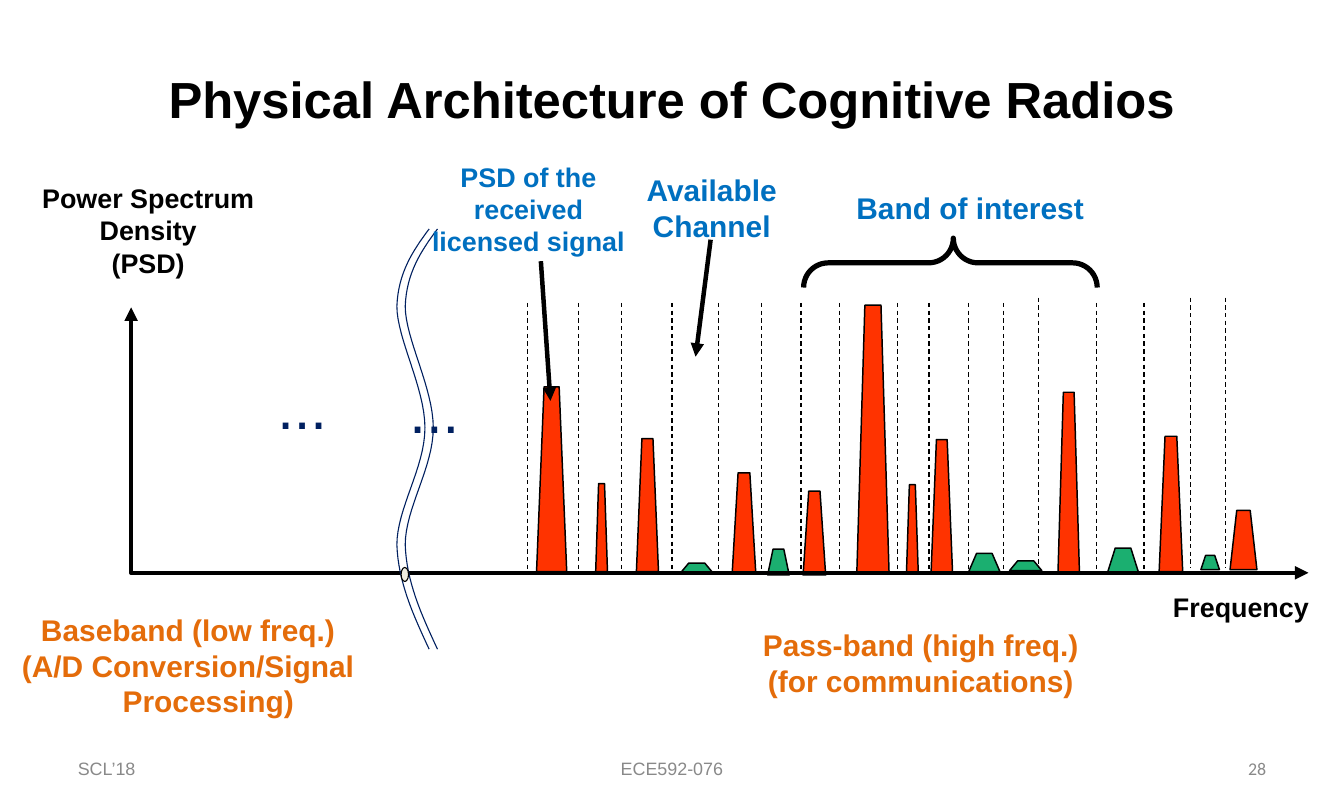
"""Build the slide on the physical architecture of cognitive radios."""
from lxml import etree
from pptx import Presentation, util as u
from pptx.dml.color import RGBColor
from pptx.enum import dml, shapes, text
from pptx.oxml import ns

BLACK = RGBColor(0x00, 0x00, 0x00)
GREY = RGBColor(0x89, 0x89, 0x89)
BLUE = RGBColor(0x00, 0x70, 0xC0)
NAVY = RGBColor(0x00, 0x20, 0x60)
ORANGE = RGBColor(0xE4, 0x6C, 0x0A)
RED = RGBColor(0xFF, 0x33, 0x00)
GREEN = RGBColor(0x1B, 0xAF, 0x70)
IVORY = RGBColor(0xEE, 0xEC, 0xE1)

LEFT, CENTER, RIGHT = text.PP_ALIGN.LEFT, text.PP_ALIGN.CENTER, text.PP_ALIGN.RIGHT
TOP, MIDDLE = text.MSO_ANCHOR.TOP, text.MSO_ANCHOR.MIDDLE

# Left, width, top, bottom of each signal
LICENSED = [
    (398.9, 7.9, 324, 383), (359.3, 20.2, 259.2, 383), (426.2, 14.8, 293.8, 383),
    (490.3, 15.8, 316.8, 383.8), (537.8, 15.1, 329, 385.2), (607, 7.9, 324.7, 383.8),
    (573.8, 21.6, 204.5, 383.8), (623.5, 14.4, 294.5, 383.8), (708.5, 14.4, 262.8, 383.8),
    (776.2, 15.8, 292.3, 383), (823.7, 18, 342, 381.6),
]
WEAK = [
    (455.8, 21.6, 377.3, 383.8), (514.1, 14.4, 367.9, 385.2), (648.7, 20.9, 370.8, 383),
    (741.6, 20.9, 367.2, 383.8), (804.2, 12.4, 372.2, 381.6), (676.1, 21.6, 375.8, 382.3),
]
CHANNEL_EDGES = {
    203: [353.5, 387.4, 416.2, 450, 481, 509.8, 536.4, 562.3, 601.2, 622.1,
          648.7, 671.8, 734.4, 766.1],
    199.4: [695.5, 797, 820.8],
}
EDGE_LENGTH = 181.4
BREAK_CURVES = [
    [(293, 153.4), (282.2, 167.8), (272.2, 182.9), (271.4, 205.2)],
    [(271.4, 205.2), (271.4, 226.8), (290.2, 259.9), (290.2, 286.6)],
    [(290.2, 286.6), (290.2, 313.2), (271.4, 340.6), (271.4, 365)],
    [(271.4, 365), (272.2, 389.5), (282.2, 411.8), (293, 434.9)],
]


def apply(target, values):
    for name, value in values.items():
        setattr(target, name, value)


def write(frame, lines, size, color, align=CENTER, bold=True, font="Arial",
          indent=0, hanging=0):
    frame.text = "\n".join(lines)
    for paragraph in frame.paragraphs:
        paragraph.alignment = align
        properties = paragraph._p.get_or_add_pPr()
        properties.set("marL", str(u.Pt(indent)))
        properties.set("indent", str(-u.Pt(hanging)))
        apply(paragraph.runs[0].font, {"name": font, "size": u.Pt(size), "bold": bold})
        paragraph.runs[0].font.color.rgb = color


def label(slide, box, lines, size, color, inset=(5, 2.2), anchor=TOP, wrap=True, **style):
    frame = slide.shapes.add_textbox(*map(u.Pt, box)).text_frame
    side, edge = map(u.Pt, inset)
    apply(frame, {"word_wrap": wrap, "vertical_anchor": anchor, "margin_left": side,
                  "margin_right": side, "margin_top": edge, "margin_bottom": edge})
    write(frame, lines, size, color, **style)


def paint(shape, width, color=BLACK, fill=None):
    shape.shadow.inherit = False
    if fill is None:
        shape.fill.background()
    else:
        shape.fill.solid()
        shape.fill.fore_color.rgb = fill
    shape.line.color.rgb = color
    shape.line.width = u.Pt(width)


def arrowheads(shape, *ends):
    for end in ends:
        etree.SubElement(shape.line._get_or_add_ln(), ns.qn(f"a:{end}"), type="triangle")


def outline(slide, points, width, color=BLACK, fill=None, close=False):
    start, *rest = [(u.Pt(x), u.Pt(y)) for x, y in points]
    builder = slide.shapes.build_freeform(*start)
    builder.add_line_segments(rest, close=close)
    shape = builder.convert_to_shape()
    paint(shape, width, color, fill)
    return shape


def signal(slide, left, width, top, bottom, fill):
    right, slope = left + width, width / 4
    outline(slide, [(right, bottom), (right - slope, top), (left + slope, top),
                    (left, bottom)], 1, fill=fill, close=True)


def line(slide, start, end, width):
    connector = slide.shapes.add_connector(
        shapes.MSO_CONNECTOR.STRAIGHT, *map(u.Pt, (*start, *end)))
    connector.line.color.rgb = BLACK
    connector.line.width = u.Pt(width)
    etree.SubElement(connector._element.spPr, ns.qn("a:effectLst"))
    return connector


def curve_points(curves, steps=16):
    points = [curves[0][0]]
    for curve in curves:
        for step in range(1, steps + 1):
            t = step / steps
            weights = ((1 - t) ** 3, 3 * t * (1 - t) ** 2, 3 * t * t * (1 - t), t ** 3)
            points.append(tuple(sum(w * p[axis] for w, p in zip(weights, curve))
                                for axis in (0, 1)))
    return points


def spectrum(slide):
    for signals, fill in ((LICENSED, RED), (WEAK, GREEN)):
        for box in signals:
            signal(slide, *box, fill)
    axes = outline(slide, [(87.8, 206), (87.8, 383.8), (876.2, 383.8)], 3)
    arrowheads(axes, "headEnd", "tailEnd")
    for top, edges in CHANNEL_EDGES.items():
        for x in edges:
            edge = line(slide, (x, top), (x, top + EDGE_LENGTH), 0.75)
            edge.line.dash_style = dml.MSO_LINE.DASH


def axis_break(slide):
    for shift in (0, -5.6):
        outline(slide, [(x + shift, y) for x, y in curve_points(BREAK_CURVES)], 0.75, NAVY)
    knot = slide.shapes.add_shape(shapes.MSO_SHAPE.OVAL, *map(u.Pt, (268.6, 380.2, 5, 9.4)))
    paint(knot, 0.75, fill=IVORY)
    for x, y in ((267.1, 247), (178.6, 244)):
        label(slide, (x, y, 101.5, 55.4), ["..."], 40, NAVY, inset=(7.2, 3.6),
              align=LEFT, bold=False, indent=27, hanging=27)


def callouts(slide):
    label(slide, (764.6, 393.8, 123.8, 26.6), ["Frequency"], 18, BLACK, indent=9)
    label(slide, (9, 119.5, 171.4, 70), ["Power Spectrum Density", "(PSD)"], 18, BLACK,
          indent=9)
    label(slide, (555.8, 124.6, 187.9, 28.8), ["Band of interest"], 20, BLUE)
    label(slide, (392.4, 113, 168.5, 52.6), ["Available", "Channel"], 20, BLUE)
    label(slide, (282.2, 105.1, 143.3, 69.8), ["PSD of the received licensed signal"],
          18, BLUE)
    label(slide, (6.5, 406.1, 239, 79.2),
          ["Baseband (low freq.)", "(A/D Conversion/Signal Processing)"], 20, ORANGE,
          inset=(7.2, 3.6), indent=27, hanging=27)
    label(slide, (476.6, 416.2, 280.1, 55.4),
          ["Pass-band (high freq.)", "(for communications)"], 20, ORANGE,
          inset=(7.2, 3.6), indent=27, hanging=27)
    for start, end in (((475.9, 160.6), (465.8, 239)), ((362.2, 175), (368.6, 268.6))):
        arrowheads(line(slide, start, end, 3), "tailEnd")
    band = slide.shapes.add_shape(
        shapes.MSO_SHAPE.RIGHT_BRACE, *map(u.Pt, (619.9, 77.8, 33.1, 196.6)))
    band.rotation = 270
    band.adjustments[0], band.adjustments[1] = 0.5, 0.51
    paint(band, 3.5)


def main():
    deck = Presentation()
    apply(deck, {"slide_width": u.Pt(900), "slide_height": u.Pt(540)})
    slide = deck.slides.add_slide(deck.slide_layouts[5])
    title = slide.shapes.title
    apply(title, {"left": u.Pt(45), "top": u.Pt(36.7),
                  "width": u.Pt(810), "height": u.Pt(57.6)})
    title.text_frame.vertical_anchor = MIDDLE
    write(title.text_frame, ["Physical Architecture of Cognitive Radios"], 34, BLACK)
    spectrum(slide)
    axis_break(slide)
    callouts(slide)
    for left, width, words, align, font in (
            (45, 210, "SCL’18", LEFT, "Arial"),
            (307.5, 285, "ECE592-076", CENTER, "Arial"),
            (645, 210, "28", RIGHT, "Calibri")):
        label(slide, (left, 500.4, width, 28.8), [words], 12, GREY, inset=(7.2, 3.6),
              anchor=MIDDLE, align=align, bold=False, font=font)
    deck.save("out.pptx")


if __name__ == "__main__":
    main()
